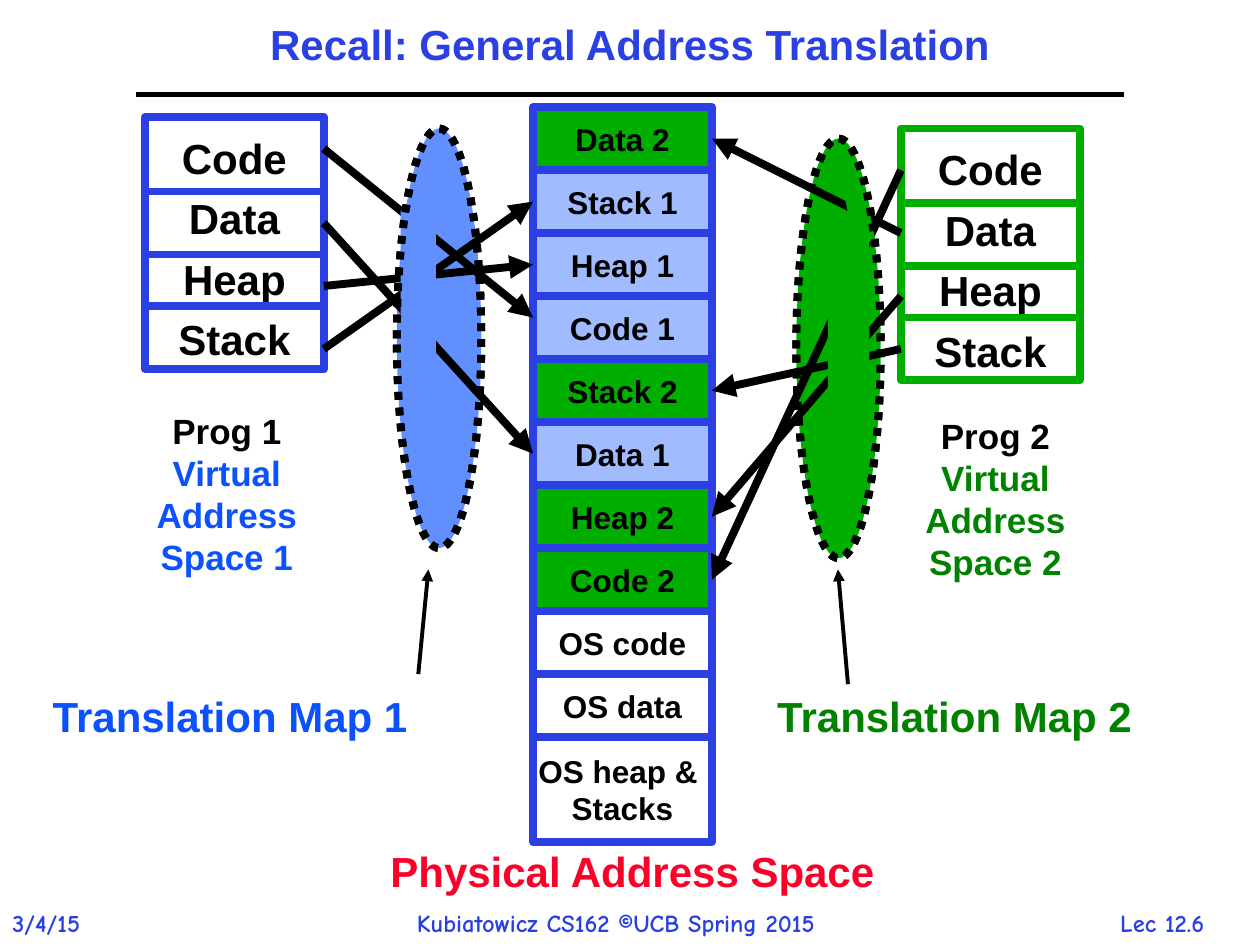
from dataclasses import dataclass

from lxml import etree
from pptx import Presentation
from pptx import util as u
from pptx.dml import color
from pptx.enum import dml, shapes, text
from pptx.oxml import ns

COLORS = {
    "blue": "2A40E2", "green": "00AE00", "map_blue": "618FFD", "pale_blue": "A0BCFE",
    "blue_text": "0B52FC", "green_text": "008200", "red": "FC0128",
    "black": "000000", "white": "FFFFFF",
}
COLUMN_WIDTH = 1.42
MEMORY_LEFT, MEMORY_TOP, ROW_HEIGHT = 4.23, 0.85, 0.5
MAP_SIZE = (0.67, 3.33)


@dataclass
class Program:
    number: int
    left: float
    top: float
    outline: str
    label_color: str
    label_at: tuple[float, float]
    caption_left: float
    map_at: tuple[float, float]
    map_fill: str
    masks: list[tuple[float, float, float, float, float]]
    arrow_x: tuple[float, float]
    arrow_y: list[tuple[float, float]]
    pointer: tuple[float, float, float, float]


PROGRAMS = [
    Program(1, 1.15, 0.93, "blue", "blue_text", (1.14, 3.2), 0.32, (3.15, 1.02), "map_blue",
            [(3.18, 1.67, 0.28, 1.5, 0)], (2.57, 4.23),
            [(1.18, 2.52), (1.77, 3.6), (2.27, 2.1), (2.77, 1.6)], (3.32, 5.35, 3.4, 4.52)),
    Program(2, 7.15, 1.02, "green", "green_text", (7.24, 3.24), 6.07, (6.32, 1.1), "green",
            [(6.57, 1.85, 0.33, 1.58, 0), (6.73, 1.43, 0.17, 0.5, 348.5)], (7.15, 5.65),
            [(1.35, 4.6), (1.85, 1.1), (2.35, 4.1), (2.77, 3.1)], (6.73, 5.43, 6.65, 4.52)),
]
MEMORY_ROWS = [
    ("Data 2", "green"), ("Stack 1", "pale_blue"), ("Heap 1", "pale_blue"),
    ("Code 1", "pale_blue"), ("Stack 2", "green"), ("Data 1", "pale_blue"),
    ("Heap 2", "green"), ("Code 2", "green"), ("OS code", "white"),
    ("OS data", "white"), ("OS heap & \nStacks", "white"),
]


def rgb(name: str) -> color.RGBColor:
    return color.RGBColor.from_string(COLORS[name])


def write_text(frame, content: str, *, size: float, ink: str = "black", first_ink: str = "",
               font: str = "Arial", align=text.PP_ALIGN.CENTER, spacing: float = 1.0) -> None:
    for index, line in enumerate(content.split("\n")):
        paragraph = frame.paragraphs[0] if index == 0 else frame.add_paragraph()
        paragraph.alignment = align
        paragraph.line_spacing = spacing
        run = paragraph.add_run()
        run.text = line
        run.font.name = font
        run.font.size = u.Pt(size)
        run.font.bold = True
        run.font.color.rgb = rgb(first_ink if first_ink and index == 0 else ink)


def add_label(parent, content: str, left: float, top: float, width: float, height: float,
              **style) -> None:
    box = parent.add_textbox(u.Inches(left), u.Inches(top), u.Inches(width), u.Inches(height))
    box.text_frame.word_wrap = False
    box.text_frame.auto_size = text.MSO_AUTO_SIZE.SHAPE_TO_FIT_TEXT
    write_text(box.text_frame, content, **style)


def add_block(parent, left: float, top: float, width: float, height: float, *,
              kind=shapes.MSO_SHAPE.RECTANGLE, fill: str = "", outline: str = "",
              dotted: bool = False, rotation: float = 0):
    shape = parent.add_shape(kind, u.Inches(left), u.Inches(top),
                             u.Inches(width), u.Inches(height))
    shape.shadow.inherit = False
    shape.rotation = rotation
    if fill:
        shape.fill.solid()
        shape.fill.fore_color.rgb = rgb(fill)
    else:
        shape.fill.background()
    if outline:
        shape.line.color.rgb = rgb(outline)
        shape.line.width = u.Pt(4.5)
    else:
        shape.line.fill.background()
    if dotted:
        shape.line.dash_style = dml.MSO_LINE.ROUND_DOT
    return shape


def add_cell(parent, content: str, left: float, top: float, height: float, *,
             fill: str, outline: str, **style) -> None:
    cell = add_block(parent, left, top, COLUMN_WIDTH, height, fill=fill, outline=outline)
    cell.text_frame.word_wrap = False
    cell.text_frame.vertical_anchor = text.MSO_ANCHOR.MIDDLE
    write_text(cell.text_frame, content, **style)


def add_line(parent, x1: float, y1: float, x2: float, y2: float, *,
             ink: str = "black", width: float = 4.5, arrow: bool = False) -> None:
    connector = parent.add_connector(shapes.MSO_CONNECTOR.STRAIGHT, u.Inches(x1), u.Inches(y1),
                                     u.Inches(x2), u.Inches(y2))
    connector.line.color.rgb = rgb(ink)
    connector.line.width = u.Pt(width)
    if arrow:
        etree.SubElement(connector.get_or_add_ln(), ns.qn("a:tailEnd"), type="triangle")
    etree.SubElement(connector.element.spPr, ns.qn("a:effectLst"))


def add_map(parent, program: Program, fill: str = "") -> None:
    add_block(parent, *program.map_at, *MAP_SIZE, kind=shapes.MSO_SHAPE.OVAL,
              fill=fill, outline="black", dotted=True)


def add_virtual_space(parent, program: Program) -> None:
    group = parent.add_group_shape().shapes
    add_cell(group, "Code\nData\nHeap\nStack", program.left, program.top, 2,
             fill="white", outline=program.outline, size=24, spacing=1.2)
    for offset in (0.59, 1.09, 1.5):
        y = program.top + offset
        add_line(group, program.left, y, program.left + COLUMN_WIDTH, y, ink=program.outline)


def add_physical_memory(parent) -> None:
    group = parent.add_group_shape().shapes
    for index, (content, fill) in enumerate(MEMORY_ROWS):
        height = 0.83 if "\n" in content else ROW_HEIGHT
        add_cell(group, content, MEMORY_LEFT, MEMORY_TOP + index * ROW_HEIGHT, height,
                 fill=fill, outline="blue", size=18)


def main() -> None:
    presentation = Presentation()
    presentation.slide_width, presentation.slide_height = u.Inches(10), u.Inches(7.5)
    slide = presentation.slides.add_slide(presentation.slide_layouts[5])
    canvas = slide.shapes

    title = canvas.title
    title.left, title.top = u.Inches(0), u.Inches(0.08)
    title.width, title.height = u.Inches(10), u.Inches(0.58)
    title.text_frame.auto_size = text.MSO_AUTO_SIZE.NONE
    title.text_frame.vertical_anchor = text.MSO_ANCHOR.MIDDLE
    write_text(title.text_frame, "Recall: General Address Translation",
               size=24, ink="blue", spacing=0.9)

    for content, left, width, align in (
        ("Lec 12.6", 8.56, 1.33, text.PP_ALIGN.CENTER),
        ("3/4/15", 0, 0.88, text.PP_ALIGN.LEFT),
        ("Kubiatowicz CS162 ©UCB Spring 2015", 3.21, 3.87, text.PP_ALIGN.LEFT),
    ):
        add_label(canvas, content, left, 7.16, width, 0.34,
                  size=14, ink="blue", font="Comic Neue", align=align)
    add_line(canvas, 1.08, 0.75, 8.92, 0.75, width=3)

    for program in PROGRAMS:
        add_map(canvas, program, program.map_fill)
        add_label(canvas, f"Prog {program.number}\nVirtual\nAddress\nSpace {program.number}",
                  *program.label_at, 1.32, 1.45,
                  size=20, ink=program.label_color, first_ink="black")
        add_virtual_space(canvas, program)
    add_physical_memory(canvas)

    for program in PROGRAMS:
        start_x, end_x = program.arrow_x
        for start_y, end_y in program.arrow_y:
            add_line(canvas, start_x, start_y, end_x, end_y, arrow=True)
        for *bounds, rotation in program.masks:
            add_block(canvas, *bounds, fill=program.map_fill, rotation=rotation)
        add_map(canvas, program)
        add_label(canvas, f"Translation Map {program.number}", program.caption_left, 5.43,
                  3.15, 0.5, size=24, ink=program.label_color, align=text.PP_ALIGN.LEFT)
        add_line(canvas, *program.pointer, width=2.25, arrow=True)
    add_label(canvas, "Physical Address Space", 3, 6.66, 4.08, 0.51,
              size=24, ink="red", align=text.PP_ALIGN.LEFT)

    presentation.save("out.pptx")


if __name__ == "__main__":
    main()
